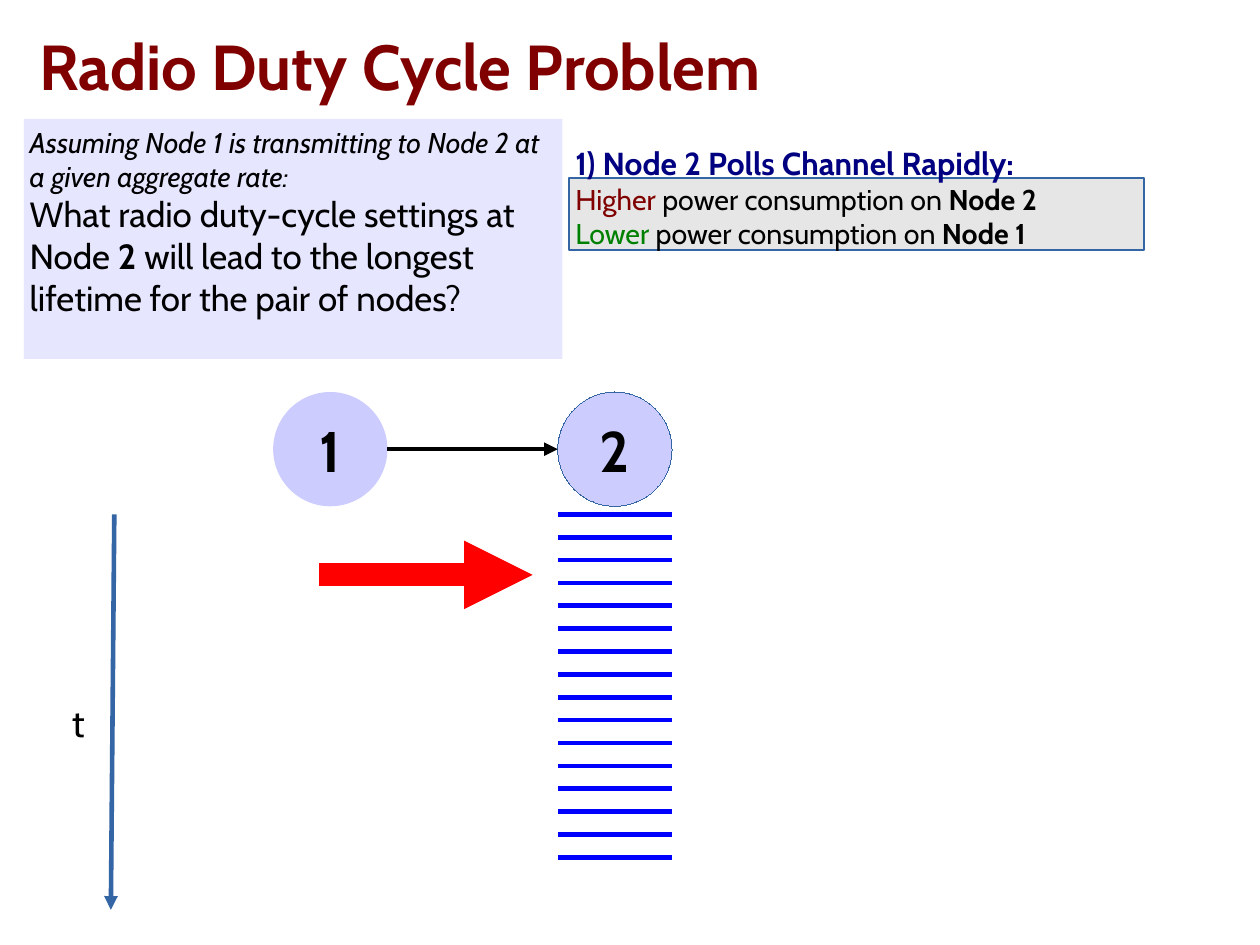
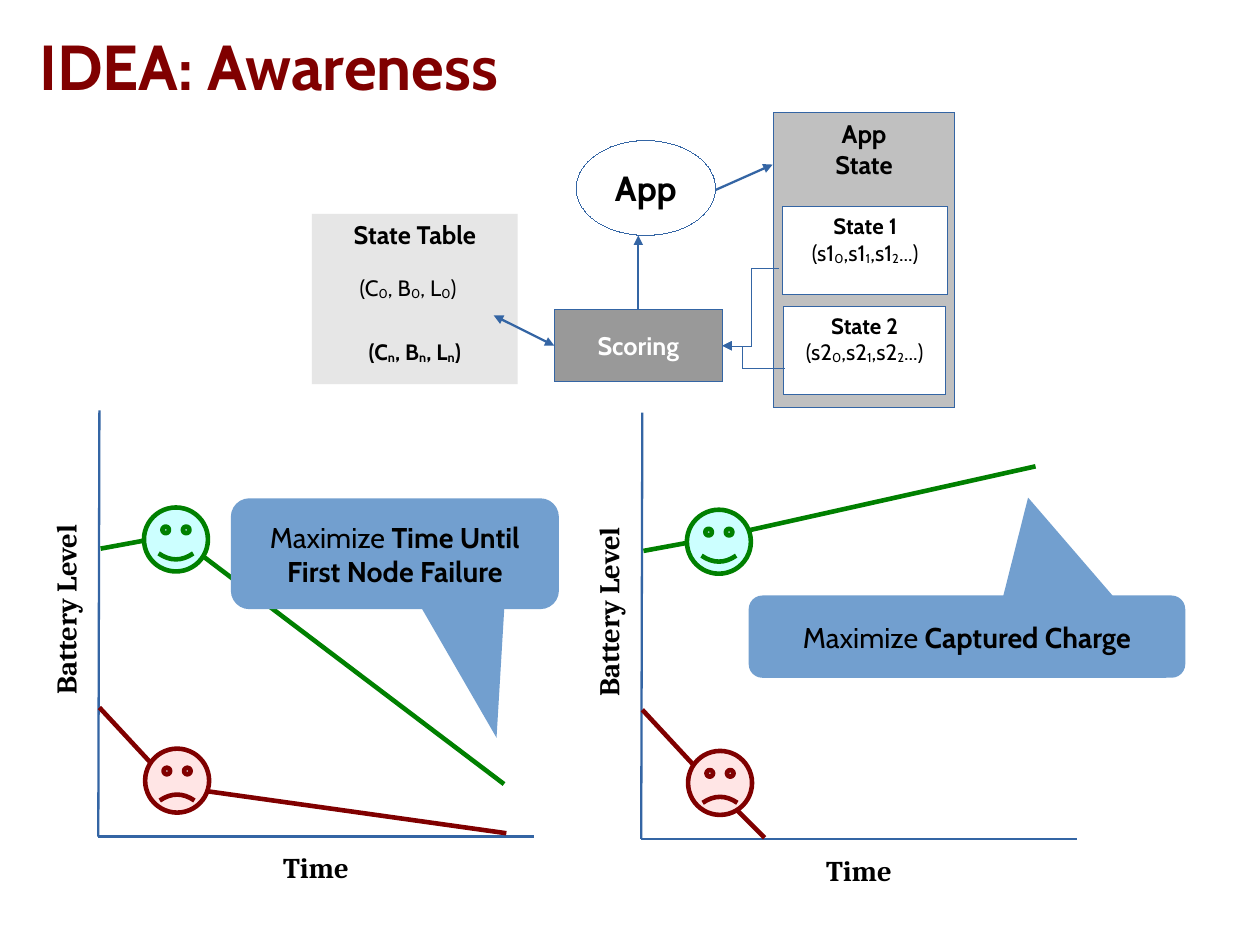
import lxml.etree
import pptx
import pptx.dml.color
import pptx.enum.shapes
import pptx.enum.text
import pptx.oxml.ns
import pptx.util

RGBColor = pptx.dml.color.RGBColor
SHAPE = pptx.enum.shapes.MSO_SHAPE
CONNECTOR = pptx.enum.shapes.MSO_CONNECTOR
ANCHOR = pptx.enum.text.MSO_ANCHOR
ALIGN = pptx.enum.text.PP_ALIGN
qn = pptx.oxml.ns.qn

# Colours
BLACK = RGBColor(0x00, 0x00, 0x00)
WHITE = RGBColor(0xFF, 0xFF, 0xFF)
MAROON = RGBColor(0x80, 0x00, 0x00)
GREEN = RGBColor(0x00, 0x80, 0x00)
NAVY = RGBColor(0x00, 0x00, 0x80)
BLUE = RGBColor(0x00, 0x00, 0xFF)
RED = RGBColor(0xFF, 0x00, 0x00)
STEEL = RGBColor(0x34, 0x65, 0xA4)
SKY = RGBColor(0x72, 0x9F, 0xCF)
LAVENDER = RGBColor(0xCC, 0xCC, 0xFF)
PALE_LAVENDER = RGBColor(0xE6, 0xE6, 0xFF)
PALE_CYAN = RGBColor(0xCC, 0xFF, 0xFF)
PALE_RED = RGBColor(0xFF, 0xE5, 0xE5)
PALE_GREY = RGBColor(0xE6, 0xE6, 0xE6)
SILVER = RGBColor(0xC0, 0xC0, 0xC0)
GREY = RGBColor(0x99, 0x99, 0x99)

# Line widths in points and text insets in grid cells
HAIRLINE, THIN, THICK, BLOCK = 0.01, 1.45, 2.89, 14.4
INSETS = (1, 0.5)
NO_INSETS = (0, 0)

SLIDE_WIDTH, SLIDE_HEIGHT = pptx.util.Cm(28), pptx.util.Cm(21)
CELL = 0.1  # grid column and row, in inches


def grid(cells):
    return pptx.util.Inches(cells * CELL)


def write(paragraph, text, size=18, color=BLACK, bold=False, italic=False,
          font="Cabin", baseline=0):
    run = paragraph.add_run()
    run.text = text
    run.font.name = font
    run.font.size = pptx.util.Pt(size)
    run.font.bold = bold
    run.font.italic = italic
    run.font.color.rgb = color
    if baseline:
        run.font._element.set("baseline", str(baseline * 1000))


def indexed(names, indices, closing, **style):
    """Runs for names that each carry a lowered index."""
    runs = []
    for name, index in zip(names, indices):
        runs += [(name, style), (index, dict(style, baseline=-8))]
    return runs + [(closing, style)]


class Deck:
    """Holds the shared style and the current slide; lengths are grid cells."""

    def __init__(self):
        self.presentation = pptx.Presentation()
        self.presentation.slide_width = SLIDE_WIDTH
        self.presentation.slide_height = SLIDE_HEIGHT
        self.slide = None

    def start_slide(self, title):
        layout = self.presentation.slide_layouts[6]
        self.slide = self.presentation.slides.add_slide(layout)
        self.label(3.45, 0, 106.8, 11.4, [[(title, dict(size=40, color=MAROON, bold=True))]],
                   anchor=ANCHOR.MIDDLE, insets=NO_INSETS)

    def fill_text(self, shape, paragraphs, align, anchor, insets):
        frame = shape.text_frame
        frame.word_wrap = True
        frame.vertical_anchor = anchor
        frame.margin_left = frame.margin_right = grid(insets[0])
        frame.margin_top = frame.margin_bottom = grid(insets[1])
        for number, runs in enumerate(paragraphs):
            paragraph = frame.add_paragraph() if number else frame.paragraphs[0]
            paragraph.alignment = align
            for text, style in runs:
                write(paragraph, text, **style)

    def label(self, left, top, width, height, paragraphs, align=ALIGN.LEFT,
              anchor=ANCHOR.TOP, insets=INSETS, rotation=0):
        box = self.slide.shapes.add_textbox(grid(left), grid(top), grid(width), grid(height))
        box.rotation = rotation
        self.fill_text(box, paragraphs, align, anchor, insets)

    def shape(self, kind, left, top, width, height, fill, line=None, weight=HAIRLINE,
              paragraphs=(), align=ALIGN.CENTER, anchor=ANCHOR.MIDDLE, insets=INSETS,
              adjustments=()):
        shape = self.slide.shapes.add_shape(
            kind, grid(left), grid(top), grid(width), grid(height))
        shape.shadow.inherit = False
        shape.fill.solid()
        shape.fill.fore_color.rgb = fill
        if line is None:
            shape.line.fill.background()
        else:
            shape.line.color.rgb = line
            shape.line.width = pptx.util.Pt(weight)
        for number, value in enumerate(adjustments):
            shape.adjustments[number] = value
        self.fill_text(shape, paragraphs, align, anchor, insets)
        return shape

    def line(self, start, end, color=STEEL, weight=THIN, head=False, tail=False, bend=None,
             begin_at=None, end_at=None):
        kind = CONNECTOR.STRAIGHT if bend is None else CONNECTOR.ELBOW
        connector = self.slide.shapes.add_connector(
            kind, *(grid(value) for value in (*start, *end)))
        if begin_at:
            connector.begin_connect(*begin_at)
        if end_at:
            connector.end_connect(*end_at)
        connector.line.color.rgb = color
        connector.line.width = pptx.util.Pt(weight)
        properties = connector.element.spPr
        outline = properties.find(qn("a:ln"))
        for tag, wanted in (("a:headEnd", head), ("a:tailEnd", tail)):
            if wanted:
                lxml.etree.SubElement(outline, qn(tag), type="triangle")
        lxml.etree.SubElement(properties, qn("a:effectLst"))
        if bend is not None:
            values = properties.find(qn("a:prstGeom")).find(qn("a:avLst"))
            lxml.etree.SubElement(values, qn("a:gd"), name="adj1",
                                  fmla=f"val {round(bend * 100000)}")

    def node(self, left, name, line=None):
        self.shape(SHAPE.OVAL, left, 34.3, 10, 10, LAVENDER, line,
                   paragraphs=[[(name, dict(size=36, bold=True))]])

    def state_box(self, left, top, width, number):
        names = [f"(s{number}", f",s{number}", f",s{number}"]
        self.shape(SHAPE.RECTANGLE, left, top, width, 7.7, WHITE, STEEL, anchor=ANCHOR.TOP,
                   paragraphs=[[(f"State {number}", dict(size=14, bold=True))],
                               indexed(names, "012", "...)", size=14)])

    def table_row(self, left, top, index, bold):
        self.label(left, top, 17.4, 3.7,
                   [indexed(["(C", ", B", ", L"], index * 3, ")", size=14, bold=bold)],
                   align=ALIGN.CENTER, anchor=ANCHOR.MIDDLE, insets=NO_INSETS)

    def battery_plot(self, left, top, happy_end, sad_end):
        """Axes, labels and two curves with faces, measured from the axis top."""
        def at(point):
            return left + point[0], top + point[1]

        origin = (-0.1, 37.3)
        for axis_end in ((0, 0), (38, 37.3)):
            self.line(at(axis_end), at(origin))
        labels = (("Time", (12.4, 38), 13.1, 0), ("Battery Level", (-13.8, 15.5), 21.5, 270))
        for text, corner, width, rotation in labels:
            self.label(*at(corner), width, 3.9,
                       [[(text, dict(font="Cambria", bold=True))]],
                       align=ALIGN.CENTER, rotation=rotation)
        curves = (
            (MAROON, PALE_RED, -0.047, (4, 29.6), ((0, 26), (6.4, 32.9), sad_end)),
            (GREEN, PALE_CYAN, 0.047, (3.9, 8.5), ((0.1, 12.1), (6.6, 10.9), happy_end)),
        )
        for color, fill, smile, face, points in curves:
            for start, end in zip(points, points[1:]):
                self.line(at(start), at(end), color, THICK)
            self.shape(SHAPE.SMILEY_FACE, *at(face), 5.6, 5.6, fill, color, THICK,
                       adjustments=[smile])

    def callout(self, left, top, width, height, tip, goal):
        self.shape(SHAPE.ROUNDED_RECTANGULAR_CALLOUT, left, top, width, height, SKY,
                   paragraphs=[[("Maximize ", {}), (goal, dict(bold=True))]],
                   adjustments=[*tip, 0.167])


def build_duty_cycle(deck):
    deck.start_slide("Radio Duty Cycle Problem")

    # Question and first answer
    deck.shape(SHAPE.RECTANGLE, 49.8, 15.55, 50.3, 6.3, PALE_GREY, STEEL, THIN)
    deck.shape(SHAPE.RECTANGLE, 2.1, 10.4, 47.1, 21, PALE_LAVENDER, align=ALIGN.LEFT,
               anchor=ANCHOR.TOP, insets=(0.5, 0.5), paragraphs=[
                   [("Assuming Node 1 is transmitting to Node 2 at a given aggregate rate:",
                     dict(italic=True))],
                   [("What radio duty-cycle settings at Node ", dict(size=22)),
                    ("2", dict(size=22, bold=True)),
                    (" will lead to the longest lifetime for the pair of nodes?",
                     dict(size=22))]])
    effects = [[(level, dict(color=color)), (" power consumption on ", {}),
                (node, dict(bold=True))]
               for level, color, node in (("Higher", MAROON, "Node 2"),
                                          ("Lower", GREEN, "Node 1"))]
    heading = [("1) Node 2 Polls Channel Rapidly:", dict(size=20, color=NAVY, bold=True))]
    deck.label(49.35, 12.1, 58.4, 10, [heading, *effects])

    # Nodes and their link
    deck.node(23.9, "1")
    deck.node(48.8, "2", STEEL)
    deck.line((33.9, 39.3), (48.8, 39.3), BLACK, THICK, tail=True)

    # Time axis, polls and transmission
    deck.line((10, 45), (9.7, 79.6), weight=THICK, tail=True)
    deck.label(5.3, 60.7, 3.3, 4.9, [[("t", dict(size=24))]])
    for poll in range(16):
        row = 45 + 2 * poll
        deck.line((48.8, row), (58.8, row), BLUE, THICK)
    deck.line((27.9, 50.3), (46.6, 50.3), RED, BLOCK, tail=True)


def build_awareness(deck):
    deck.start_slide("IDEA: Awareness")

    # State table
    deck.shape(SHAPE.RECTANGLE, 27.3, 18.7, 18, 14.9, PALE_GREY, anchor=ANCHOR.TOP,
               paragraphs=[[("State Table", dict(size=16, bold=True))]])
    deck.table_row(27, 23.3, "0", False)
    deck.table_row(27.6, 28.9, "n", True)

    # App, its states and the scoring step
    deck.line((62.2, 16.8), (67.6, 14.4), tail=True)
    deck.shape(SHAPE.RECTANGLE, 67.7, 9.85, 15.8, 25.8, SILVER, STEEL, anchor=ANCHOR.TOP,
               paragraphs=[[(word, dict(size=16, bold=True))] for word in ("App", "State")])
    deck.state_box(68.5, 18.1, 14.4, 1)
    deck.state_box(68.55, 26.8, 14.2, 2)
    deck.shape(SHAPE.OVAL, 50.4, 12.3, 12.2, 8.3, WHITE, STEEL,
               paragraphs=[[("App", dict(size=22, bold=True))]])
    scoring = deck.shape(SHAPE.FLOWCHART_PROCESS, 48.5, 27.1, 14.7, 6.3, GREY, STEEL,
                         paragraphs=[[("Scoring", dict(size=16, color=WHITE, bold=True))]])
    for state_end, bend in (((68.2, 23.5), 0.5), ((68.7, 32.2), 0.32)):
        deck.line((63.2, 30.3), state_end, weight=HAIRLINE, head=True, bend=bend,
                  begin_at=(scoring, 3))
    deck.line((43.2, 27.6), (48.5, 30.3), head=True, tail=True, end_at=(scoring, 1))
    deck.line((55.85, 27.1), (55.85, 20.6), tail=True, begin_at=(scoring, 0))

    # Battery plots and their goals
    deck.battery_plot(8.7, 35.9, happy_end=(35.4, 32.7), sad_end=(35.6, 37))
    deck.battery_plot(56.2, 36.1, happy_end=(34.4, 4.7), sad_end=(10.7, 37.2))
    deck.callout(20.2, 43.6, 28.7, 9.7, (0.31, 1.66), "Time Until First Node Failure")
    deck.callout(65.5, 52.1, 38.2, 7.2, (0.14, -1.69), "Captured Charge")


def main():
    deck = Deck()
    build_duty_cycle(deck)
    build_awareness(deck)
    deck.presentation.save("out.pptx")


if __name__ == "__main__":
    main()
